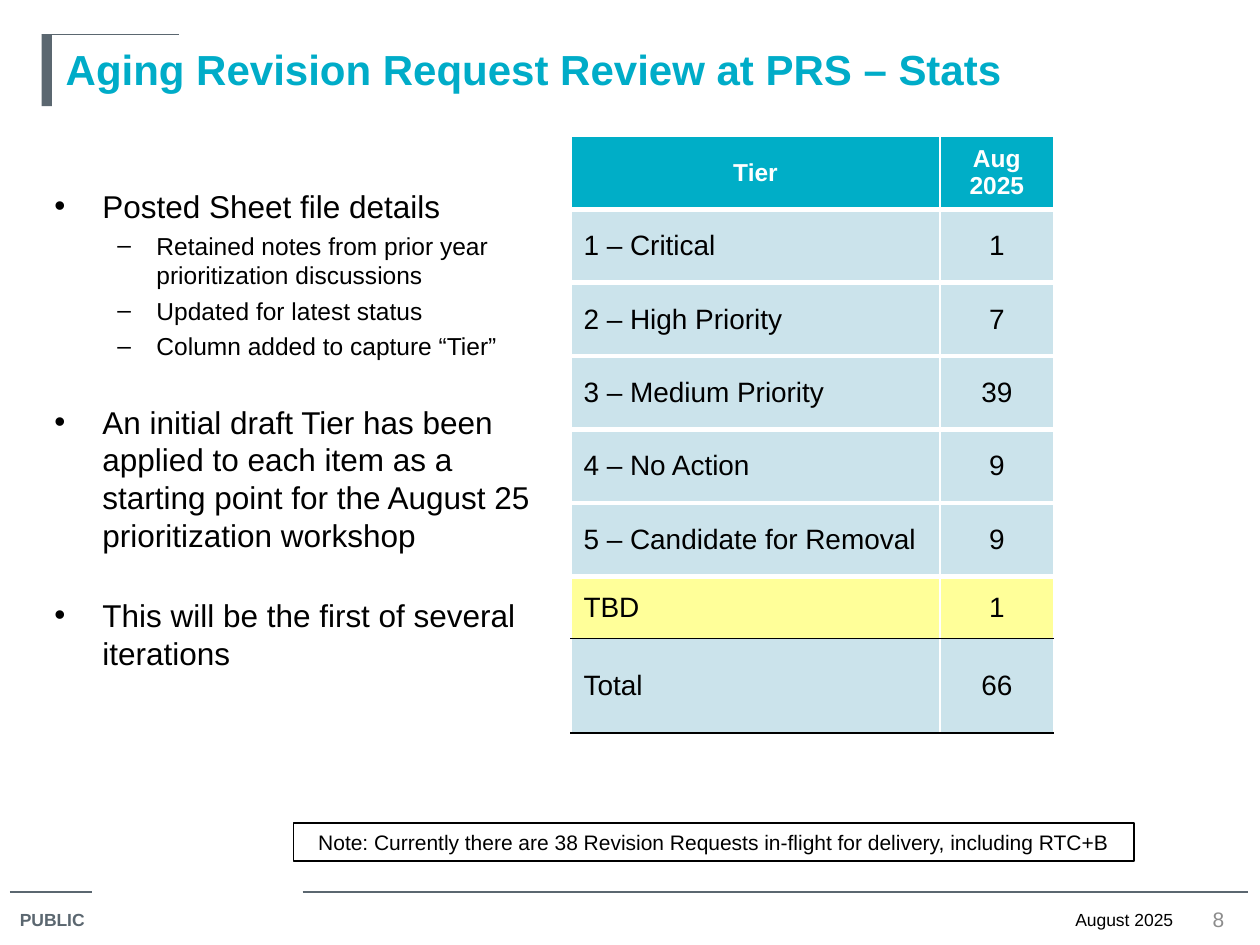
"""Build the slide with the aging revision request figures."""
from lxml import etree
from pptx import Presentation
from pptx import util as u
from pptx.dml.color import RGBColor
from pptx.enum import shapes, text
from pptx.oxml.ns import qn

THEME = {
    "font": "Arial", "title": 24, "lead": 18, "sub": 14, "head": 14,
    "cell": 16, "note": 12, "foot": 10, "num": 12,
    "teal": "00ACC8", "band": "00AEC7", "pale": "CBE3EB", "flag": "FFFF99",
    "slate": "5B6770", "gray": "8C8C8C", "ink": "000000", "white": "FFFFFF",
}
LEFT, MID, RIGHT = text.PP_ALIGN.LEFT, text.PP_ALIGN.CENTER, text.PP_ALIGN.RIGHT
TOP, HALF = text.MSO_ANCHOR.TOP, text.MSO_ANCHOR.MIDDLE

TITLE = "Aging Revision Request Review at PRS – Stats"
POINTS = [
    (0, "Posted Sheet file details", 0),
    (1, "Retained notes from prior year prioritization discussions", 3.5),
    (1, "Updated for latest status", 3.5),
    (1, "Column added to capture “Tier”", 3.5),
    (0, "An initial draft Tier has been applied to each item as a starting "
        "point for the August 25 prioritization workshop", 24),
    (0, "This will be the first of several iterations", 24),
]
LEVELS = [("•", 0.97, "lead"), ("–", 0.79, "sub")]
HANG = [0.97, 2.06]
ROWS = [
    ("Tier", "Aug\n2025"),
    ("1 – Critical", "1"),
    ("2 – High Priority", "7"),
    ("3 – Medium Priority", "39"),
    ("4 – No Action", "9"),
    ("5 – Candidate for Removal", "9"),
    ("TBD", "1"),
    ("Total", "66"),
]
COLS = [7.44, 2.29]
TALL = [1.48] * 6 + [1.25, 1.91]
RULES = [(0.2, 17.98, 1.85), (6.1, 17.98, 25.15), (0.84, 0.69, 3.61)]
LABELS = [
    ("PUBLIC", (0.15, 18.21, 1.96, 0.71), "foot", "slate", True, LEFT, TOP),
    ("August 2025", (20.52, 18.21, 3.38, 0.61), "foot", "ink", False, RIGHT, TOP),
    ("8", (23.93, 18.24, 1.27, 0.58), "num", "gray", False, MID, HALF),
]
NOTE = ("Note: Currently there are 38 Revision Requests in-flight for delivery, "
        "including RTC+B")


def tint(name):
    return RGBColor.from_string(THEME[name])


def put(item, **vals):
    for key, val in vals.items():
        setattr(item, key, val)


def place(shape, box):
    put(shape, **dict(zip(("left", "top", "width", "height"), map(u.Cm, box))))


def write(para, words, size, ink="ink", bold=False, align=LEFT):
    para.alignment = align
    run = para.add_run()
    run.text = words
    put(run.font, name=THEME["font"], size=u.Pt(THEME[size]), bold=bold)
    run.font.color.rgb = tint(ink)


def frame(shape, anchor):
    put(shape.text_frame, word_wrap=True, vertical_anchor=anchor,
        auto_size=text.MSO_AUTO_SIZE.NONE)
    return shape.text_frame


def rule(slide, x, y, end):
    line = slide.shapes.add_connector(
        shapes.MSO_CONNECTOR.STRAIGHT, *map(u.Cm, (x, y, end, y)))
    line.line.color.rgb = tint("slate")
    line.line.width = u.Pt(0.75)
    etree.SubElement(line._element.spPr, qn("a:effectLst"))


def block(slide, box):
    shape = slide.shapes.add_shape(
        shapes.MSO_SHAPE.RECTANGLE, *map(u.Cm, box))
    shape.shadow.inherit = False
    return shape


def list_points(frm):
    for i, (level, words, gap) in enumerate(POINTS):
        para = frm.paragraphs[0] if i == 0 else frm.add_paragraph()
        mark, hang, size = LEVELS[level]
        put(para, level=level, space_before=u.Pt(gap))
        props = para._p.get_or_add_pPr()
        props.set("marL", str(u.Cm(HANG[level])))
        props.set("indent", str(-u.Cm(hang)))
        etree.SubElement(props, qn("a:buChar"), char=mark)
        write(para, words, size)


def edge(cell, side, ink, width):
    props = cell._tc.get_or_add_tcPr()
    line = etree.SubElement(props, qn("a:" + side), w=str(u.Pt(width)))
    fill = etree.SubElement(line, qn("a:solidFill"))
    etree.SubElement(fill, qn("a:srgbClr"), val=THEME[ink])


def fill_cell(cell, words, row, col):
    last = len(ROWS) - 1
    top = ("white", 1 if row == 0 else 3) if row < last else ("ink", 1)
    base = ("white", 3) if row < last - 1 else ("ink", 1)
    for side, look in (("lnL", ("white", 1)), ("lnR", ("white", 1)),
                       ("lnT", top), ("lnB", base)):
        edge(cell, side, *look)
    cell.fill.solid()
    shade = "band" if row == 0 else "flag" if row == last - 1 else "pale"
    cell.fill.fore_color.rgb = tint(shade)
    cell.vertical_anchor = HALF
    head = row == 0
    for i, part in enumerate(words.split("\n")):
        frm = cell.text_frame
        para = frm.paragraphs[0] if i == 0 else frm.add_paragraph()
        write(para, part, "head" if head else "cell",
              "white" if head else "ink", head, MID if head or col else LEFT)


def add_tiers(slide):
    grid = slide.shapes.add_table(
        len(ROWS), len(COLS),
        *map(u.Cm, (11.51, 2.74, sum(COLS), sum(TALL)))).table
    for col, wide in zip(grid.columns, COLS):
        col.width = u.Cm(wide)
    for r, (row, tall) in enumerate(zip(ROWS, TALL)):
        grid.rows[r].height = u.Cm(tall)
        for c, words in enumerate(row):
            fill_cell(grid.cell(r, c), words, r, c)


def main():
    deck = Presentation()
    put(deck, slide_width=u.Cm(25.4), slide_height=u.Cm(19.05))
    slide = deck.slides.add_slide(deck.slide_layouts[1])
    title, body = slide.placeholders

    for spot in RULES:
        rule(slide, *spot)
    bar = block(slide, (0.84, 0.69, 0.21, 1.45))
    bar.fill.solid()
    bar.fill.fore_color.rgb = tint("slate")
    bar.line.fill.background()

    place(title, (1.07, 0.66, 20.32, 1.45))
    write(frame(title, HALF).paragraphs[0], TITLE, "title", "teal", True)
    place(body, (0.84, 3.64, 10.16, 13.7))
    list_points(frame(body, TOP))
    add_tiers(slide)

    for words, box, size, ink, bold, align, anchor in LABELS:
        label = slide.shapes.add_textbox(*map(u.Cm, box))
        write(frame(label, anchor).paragraphs[0], words, size, ink, bold, align)

    note = block(slide, (5.92, 16.59, 16.94, 0.77))
    note.fill.background()
    note.line.color.rgb = tint("ink")
    note.line.width = u.Pt(0.75)
    write(frame(note, HALF).paragraphs[0], NOTE, "note", align=MID)
    deck.save("out.pptx")


if __name__ == "__main__":
    main()
